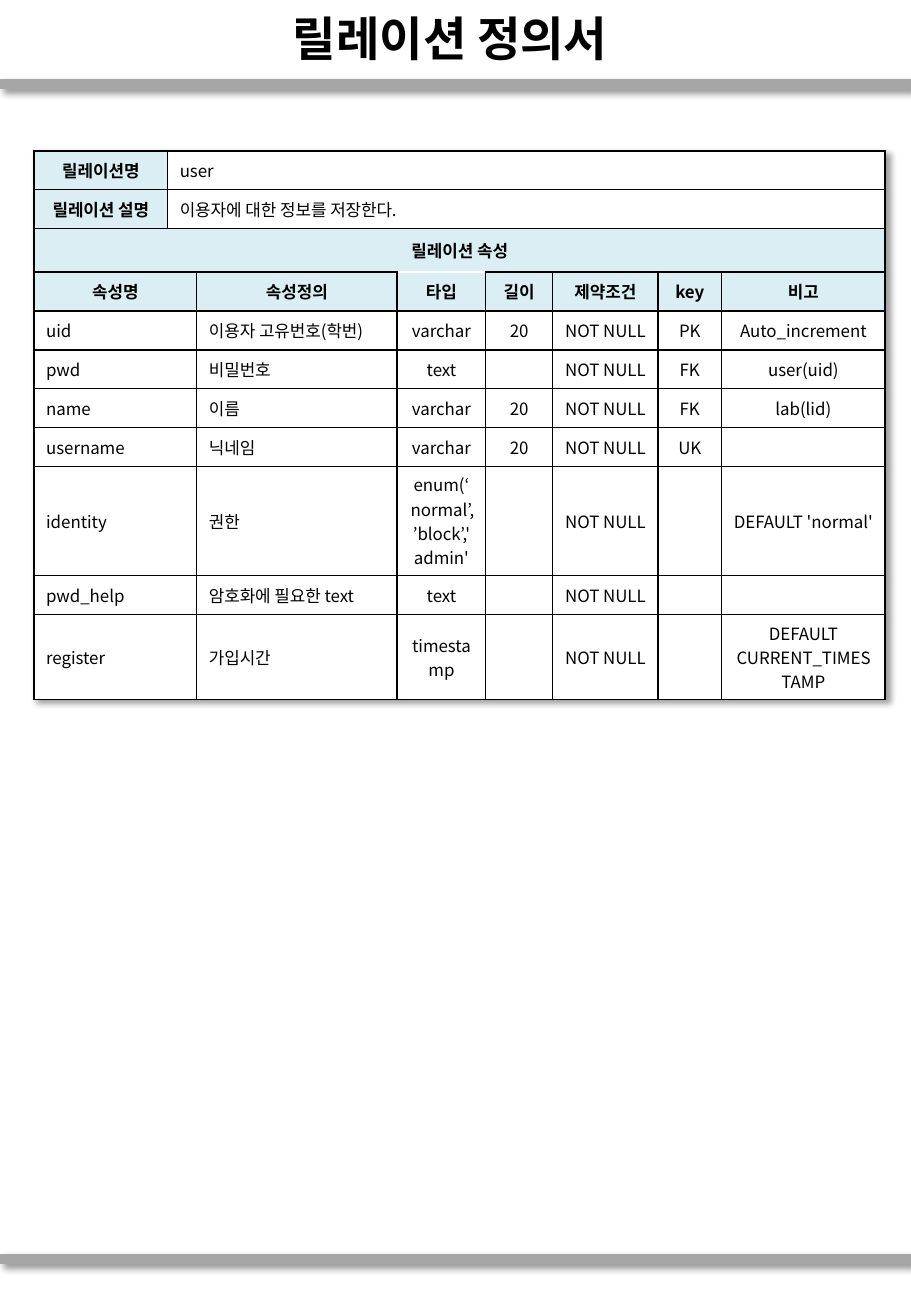
from lxml import etree
from pptx import Presentation
from pptx.dml.color import RGBColor
from pptx.enum.shapes import MSO_CONNECTOR
from pptx.enum.text import MSO_ANCHOR, PP_ALIGN
from pptx.oxml.ns import qn
from pptx.util import Pt

STRAIGHT = MSO_CONNECTOR.STRAIGHT
MIDDLE = MSO_ANCHOR.MIDDLE
LEFT, CENTER = PP_ALIGN.LEFT, PP_ALIGN.CENTER

EMU_PER_PX = 9144  # 100 px to the inch
WIDTH, HEIGHT = 750, 1083
TITLE_FONT, BODY_FONT = "Arial", "Noto Sans CJK KR"
BLACK, WHITE, GRAY, HEADER_BLUE = "000000", "FFFFFF", "A6A6A6", "DBEEF4"

COLUMN_WIDTHS = [110, 17, 165, 73, 55, 87, 52, 135]
ROW_HEIGHT = 32
TALL_ROWS = {"릴레이션 속성": 36, "identity": 90, "register": 70}
SUMMARY = [("릴레이션명", "user"),
           ("릴레이션 설명", "이용자에 대한 정보를 저장한다.")]
SECTION = "릴레이션 속성"
HEADINGS = ["속성명", "속성정의", "타입", "길이", "제약조건", "key", "비고"]
ATTRIBUTES = [
    ["uid", "이용자 고유번호(학번)", "varchar", "20", "NOT NULL", "PK", "Auto_increment"],
    ["pwd", "비밀번호", "text", "", "NOT NULL", "FK", "user(uid)"],
    ["name", "이름", "varchar", "20", "NOT NULL", "FK", "lab(lid)"],
    ["username", "닉네임", "varchar", "20", "NOT NULL", "UK", ""],
    ["identity", "권한", "enum(‘normal’,’block’,'admin'", "", "NOT NULL", "",
     "DEFAULT 'normal'"],
    ["pwd_help", "암호화에 필요한 text", "text", "", "NOT NULL", "", ""],
    ["register", "가입시간", "timestamp", "", "NOT NULL", "",
     "DEFAULT CURRENT_TIMESTAMP"],
]


def px(length):
    return length * EMU_PER_PX


def color(hex_string):
    return RGBColor.from_string(hex_string)


def write_text(frame, text, size=10, font=BODY_FONT, bold=False, align=LEFT):
    paragraph = frame.paragraphs[0]
    paragraph.alignment = align
    if not text:
        # An empty cell keeps the text size, so its row does not grow
        etree.SubElement(paragraph._p, qn("a:endParaRPr"), sz=str(size * 100))
        return
    run = paragraph.add_run()
    run.text = text
    run.font.size = Pt(size)
    run.font.name = font
    run.font.bold = bold
    run.font.color.rgb = color(BLACK)
    etree.SubElement(run._r.get_or_add_rPr(), qn("a:ea"), typeface=BODY_FONT)


def make_shadow():
    effects = etree.Element(qn("a:effectLst"))
    shadow = etree.SubElement(effects, qn("a:outerShdw"), blurRad=str(Pt(4)),
                              dist=str(Pt(3)), dir="2700000", algn="tl",
                              rotWithShape="0")
    tint = etree.SubElement(shadow, qn("a:srgbClr"), val=BLACK)
    etree.SubElement(tint, qn("a:alpha"), val="40000")
    return effects


def add_rule(slide, left, top, width):
    rule = slide.shapes.add_connector(STRAIGHT, px(left), px(top),
                                      px(left + width), px(top))
    rule.line.color.rgb = color(GRAY)
    rule.line.width = Pt(6)
    rule._element.spPr.append(make_shadow())


def add_title(slide, left, top, width, height):
    box = slide.shapes.add_textbox(px(left), px(top), px(width), px(height))
    box.text_frame.word_wrap = True
    box.text_frame.vertical_anchor = MIDDLE
    write_text(box.text_frame, "릴레이션 정의서 ", size=28, font=TITLE_FONT,
               bold=True, align=CENTER)


def set_borders(cell, borders):
    properties = cell._tc.get_or_add_tcPr()
    for index, (side, (width, hex_string)) in enumerate(borders.items()):
        line = etree.Element(qn("a:ln" + side), w=str(Pt(width)))
        fill = etree.SubElement(line, qn("a:solidFill"))
        etree.SubElement(fill, qn("a:srgbClr"), val=hex_string)
        properties.insert(index, line)


def fill_cell(table, row, first, last, text, header=False, align=CENTER):
    cell = table.cell(row, first)
    if last > first:
        cell.merge(table.cell(row, last))
    cell.vertical_anchor = MIDDLE
    cell.fill.solid()
    cell.fill.fore_color.rgb = color(HEADER_BLUE if header else WHITE)
    write_text(cell.text_frame, text, bold=header, align=align)
    # The outer frame is thicker; the type heading has a white top edge
    set_borders(cell, {
        "L": (1.5 if first == 0 else 1, BLACK),
        "R": (1.5 if last == len(COLUMN_WIDTHS) - 1 else 1, BLACK),
        "T": (1.5 if row == 0 else 1, WHITE if text == "타입" else BLACK),
        "B": (1, BLACK),
    })


def add_relation_table(slide, left, top):
    section_row = len(SUMMARY)
    last_column = len(COLUMN_WIDTHS) - 1
    attribute_rows = [HEADINGS] + ATTRIBUTES
    row_names = [label for label, value in SUMMARY] + [SECTION]
    row_names += [fields[0] for fields in attribute_rows]
    heights = [TALL_ROWS.get(name, ROW_HEIGHT) for name in row_names]
    frame = slide.shapes.add_table(len(heights), len(COLUMN_WIDTHS), px(left), px(top),
                                   px(sum(COLUMN_WIDTHS)), px(sum(heights)))
    table = frame.table
    table.first_row = table.horz_banding = False
    table._tbl.tblPr.insert(0, make_shadow())
    for column, width in zip(table.columns, COLUMN_WIDTHS):
        column.width = px(width)
    for row, height in zip(table.rows, heights):
        row.height = px(height)

    # Name and description of the relation
    for row, (label, value) in enumerate(SUMMARY):
        fill_cell(table, row, 0, 0, label, header=True)
        fill_cell(table, row, 1, last_column, value, align=LEFT)
    fill_cell(table, section_row, 0, last_column, SECTION, header=True)

    # Attributes: the first field spans two columns
    for row, fields in enumerate(attribute_rows, section_row + 1):
        header = fields is HEADINGS
        for index, text in enumerate(fields):
            align = LEFT if index < 2 and not header else CENTER
            first = index + 1 if index else 0
            fill_cell(table, row, first, index + 1, text, header=header, align=align)


def main():
    presentation = Presentation()
    presentation.slide_width = px(WIDTH)
    presentation.slide_height = px(HEIGHT)
    slide = presentation.slides.add_slide(presentation.slide_layouts[6])
    for top in (69, 1036):
        add_rule(slide, 0, top, WIDTH)
    add_title(slide, 0, 1, WIDTH, 60)
    add_relation_table(slide, 28, 124)
    presentation.save("out.pptx")


if __name__ == "__main__":
    main()
